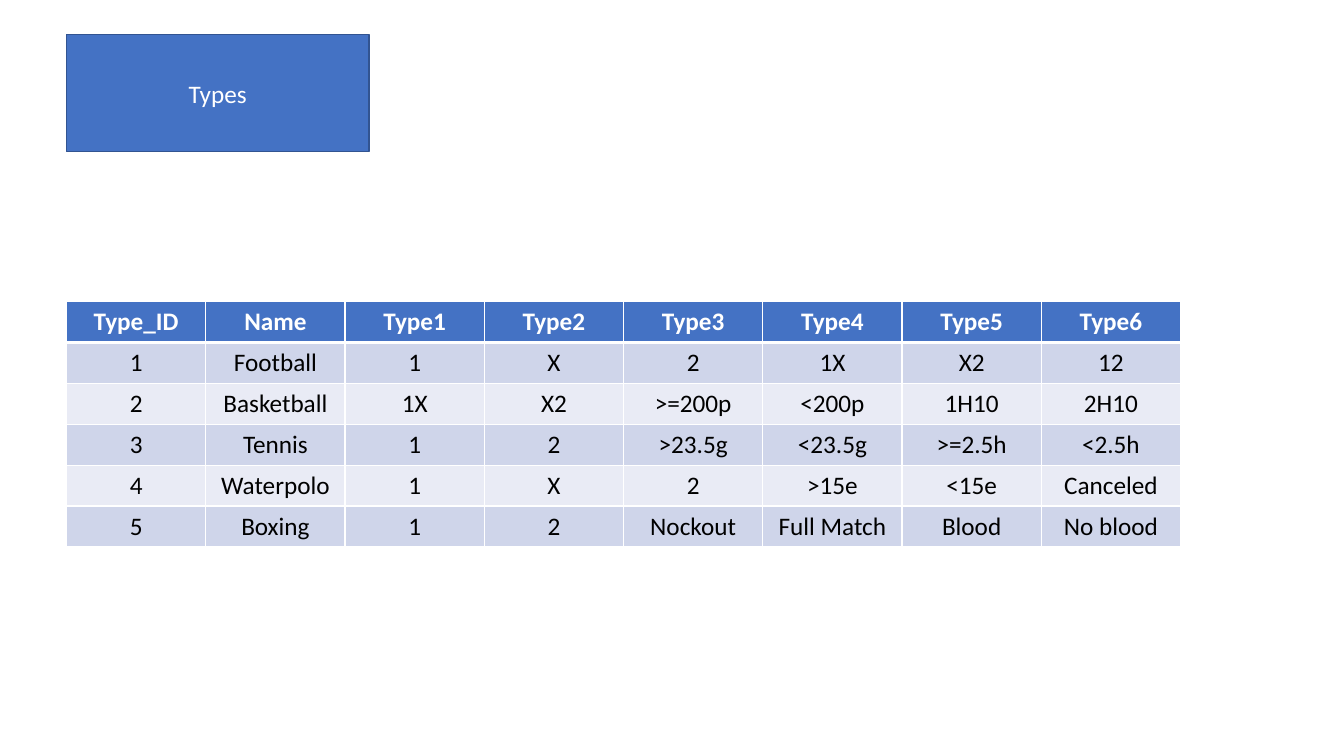
"""Build a slide with a title box and a table of bet types per sport."""
from dataclasses import dataclass

from lxml import etree
from pptx import Presentation
from pptx import util as u
from pptx.dml.color import RGBColor
from pptx.enum import shapes, text
from pptx.oxml.ns import qn


@dataclass(frozen=True)
class Theme:
    """Colours, font and sizes of the slide."""
    blue: str = "4472C4"
    edge: str = "325491"
    white: str = "FFFFFF"
    black: str = "000000"
    bands: tuple = ("CFD5EA", "E9EBF5")
    font: str = "Calibri"
    size: int = 18
    thin: int = 1
    thick: int = 3


THEME = Theme()
WIDE, HIGH = u.Inches(13.33), u.Inches(7.5)
LEFT = 4.95
HEAD = ("Type_ID", "Name", *(f"Type{n}" for n in range(1, 7)))
SPORTS = (
    ("Football", "1", "X", "2", "1X", "X2", "12"),
    ("Basketball", "1X", "X2", ">=200p", "<200p", "1H10", "2H10"),
    ("Tennis", "1", "2", ">23.5g", "<23.5g", ">=2.5h", "<2.5h"),
    ("Waterpolo", "1", "X", "2", ">15e", "<15e", "Canceled"),
    ("Boxing", "1", "2", "Nockout", "Full Match", "Blood", "No blood"),
)


def area(x, y, w, h):
    """Turn percentages of the slide into left, top, width and height."""
    return [round(side * share / 100)
            for side, share in zip((WIDE, HIGH, WIDE, HIGH), (x, y, w, h))]


def paint(fill, tone):
    """Give a fill one solid colour."""
    fill.solid()
    fill.fore_color.rgb = RGBColor.from_string(tone)


def write(frame, words, tone=THEME.white, bold=False):
    """Write one centred line of text in a frame."""
    line = frame.paragraphs[0]
    line.alignment = text.PP_ALIGN.CENTER
    run = line.add_run()
    run.text = words
    run.font.name = THEME.font
    run.font.size = u.Pt(THEME.size)
    run.font.bold = bold
    run.font.color.rgb = RGBColor.from_string(tone)


def add_box(slide, words, place):
    """Add a filled box with a centred label."""
    box = slide.shapes.add_shape(shapes.MSO_SHAPE.RECTANGLE, *place)
    box.shadow.inherit = False
    paint(box.fill, THEME.blue)
    paint(box.line.fill, THEME.edge)
    box.line.width = u.Pt(THEME.thin)
    box.text_frame.vertical_anchor = text.MSO_ANCHOR.MIDDLE
    write(box.text_frame, words)


def add_rules(cell, **widths):
    """Draw white rules on the sides of a cell, widths in points."""
    props = cell._tc.get_or_add_tcPr()
    for side in "LRTB":
        width = u.Pt(widths.get(side, THEME.thin))
        rule = etree.SubElement(props, qn(f"a:ln{side}"), w=str(width))
        fill = etree.SubElement(rule, qn("a:solidFill"))
        etree.SubElement(fill, qn("a:srgbClr"), val=THEME.white)


def add_grid(slide, rows, place):
    """Add a table with a blue head row and banded body rows."""
    grid = slide.shapes.add_table(len(rows), len(rows[0]), *place).table
    for r, row in enumerate(rows):
        head = r == 0
        tone = THEME.blue if head else THEME.bands[(r - 1) % 2]
        rules = {0: {"B": THEME.thick}, 1: {"T": THEME.thick}}.get(r, {})
        for c, words in enumerate(row):
            cell = grid.cell(r, c)
            add_rules(cell, **rules)
            paint(cell.fill, tone)
            write(cell.text_frame, words, bold=head,
                  tone=THEME.white if head else THEME.black)


def main():
    """Build and save the slide."""
    deck = Presentation()
    deck.slide_width, deck.slide_height = WIDE, HIGH
    slide = deck.slides.add_slide(deck.slide_layouts[6])
    add_box(slide, "Types", area(LEFT, 4.55, 22.5, 15.5))
    body = [(str(n), *sport) for n, sport in enumerate(SPORTS, 1)]
    add_grid(slide, [HEAD, *body], area(LEFT, 39.9, 82.9, 32.4))
    deck.save("out.pptx")


main()
